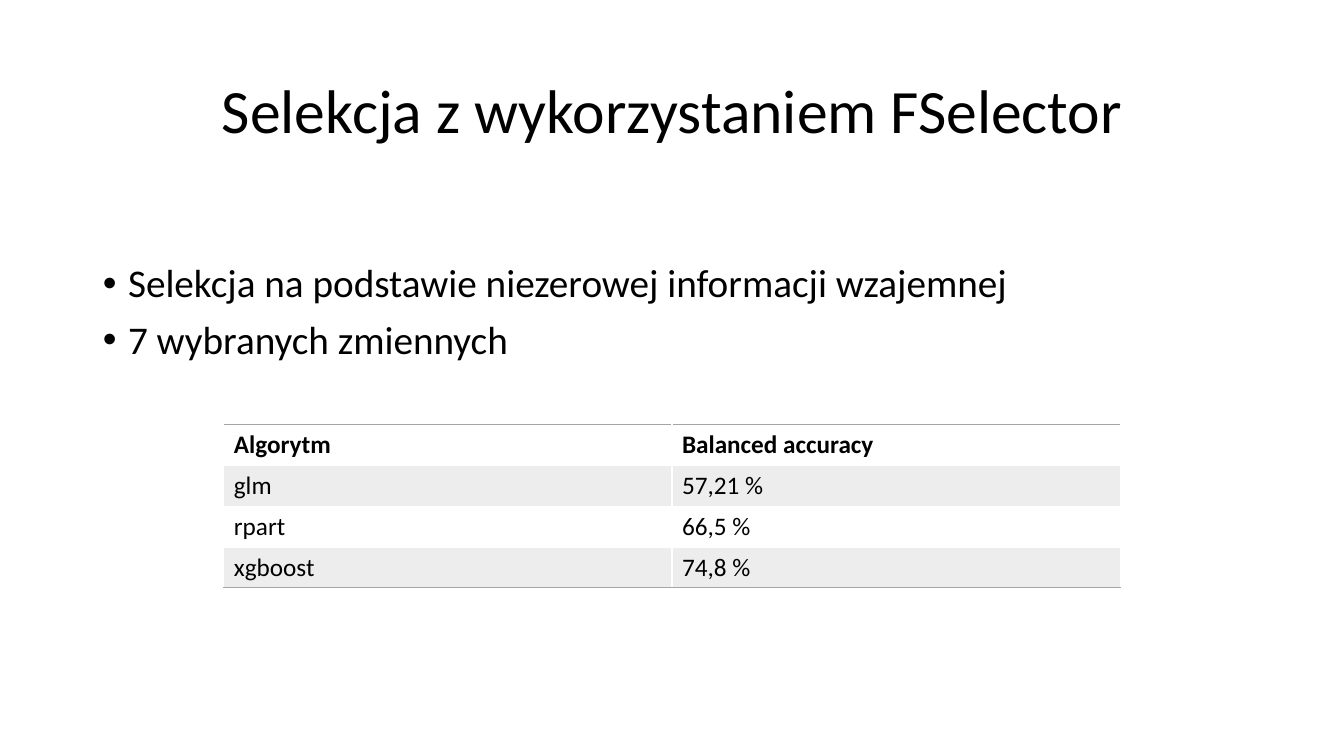
"""Build a slide on variable selection with FSelector and its accuracy table."""
import pptx
import pptx.dml.color
import pptx.enum.text
import pptx.oxml
import pptx.oxml.ns
import pptx.util
from pptx.util import Inches

GREY = "A5A5A5"
NAMESPACE = pptx.oxml.ns.nsdecls("a")


def set_font(paragraph, size, bold=False, color="000000"):
    font = paragraph.font
    font.name, font.size, font.bold = "Calibri", pptx.util.Pt(size), bold
    font.color.rgb = pptx.dml.color.RGBColor.from_string(color)


def add_border(cell, side):
    cell._tc.get_or_add_tcPr().append(pptx.oxml.parse_xml(
        f'<a:{side} {NAMESPACE} w="12700"><a:solidFill><a:srgbClr val="{GREY}"/>'
        f'</a:solidFill></a:{side}>'))


deck = pptx.Presentation()
deck.slide_width, deck.slide_height = Inches(13.33), Inches(7.5)
page = deck.slides.add_slide(deck.slide_layouts[1])

title, body = page.shapes.title, page.placeholders[1]
for box, top, height, size, lines in (
    (title, 0.4, 1.45, 44, ["Selekcja z wykorzystaniem FSelector"]),
    (body, 2.57, 4.19, 28, ["Selekcja na podstawie niezerowej informacji wzajemnej",
                            "7 wybranych zmiennych"]),
):
    box.left, box.top = Inches(0.92), Inches(top)
    box.width, box.height = Inches(11.5), Inches(height)
    frame = box.text_frame
    frame.text = "\n".join(lines)
    frame.auto_size = pptx.enum.text.MSO_AUTO_SIZE.NONE
    for paragraph in frame.paragraphs:
        set_font(paragraph, size)
        paragraph.line_spacing = 0.9

title.text_frame.vertical_anchor = pptx.enum.text.MSO_ANCHOR.MIDDLE
title.text_frame.paragraphs[0].alignment = pptx.enum.text.PP_ALIGN.CENTER
for paragraph in body.text_frame.paragraphs:
    paragraph.space_before = pptx.util.Pt(10)
    properties = paragraph._p.get_or_add_pPr()
    properties.set("marL", str(Inches(0.25)))
    properties.set("indent", str(Inches(-0.25)))
    properties.append(pptx.oxml.parse_xml(
        f'<a:buFont {NAMESPACE} typeface="Arial"/>'))
    properties.append(pptx.oxml.parse_xml(f'<a:buChar {NAMESPACE} char="•"/>'))
    properties.append(properties.find(pptx.oxml.ns.qn("a:defRPr")))

results = [
    ("Algorytm", "Balanced accuracy"),
    ("glm", "57,21 %"),
    ("rpart", "66,5 %"),
    ("xgboost", "74,8 %"),
]
table = page.shapes.add_table(len(results), 2, Inches(2.22), Inches(4.21),
                              Inches(8.89), Inches(1.62)).table
table.first_row = table.horz_banding = False
for row, values in enumerate(results):
    for column, value in enumerate(values):
        cell = table.cell(row, column)
        cell.text = value
        set_font(cell.text_frame.paragraphs[0], 18, bold=row == 0)
        if row == 0:
            add_border(cell, "lnT")
        if row in (0, len(results) - 1):
            add_border(cell, "lnB")
        if row % 2:
            cell.fill.solid()
            cell.fill.fore_color.rgb = pptx.dml.color.RGBColor.from_string(GREY)
            shade = cell._tc.tcPr.find(pptx.oxml.ns.qn("a:solidFill"))[0]
            shade.append(pptx.oxml.parse_xml(f'<a:alpha {NAMESPACE} val="20000"/>'))
        else:
            cell.fill.background()

deck.save("out.pptx")
